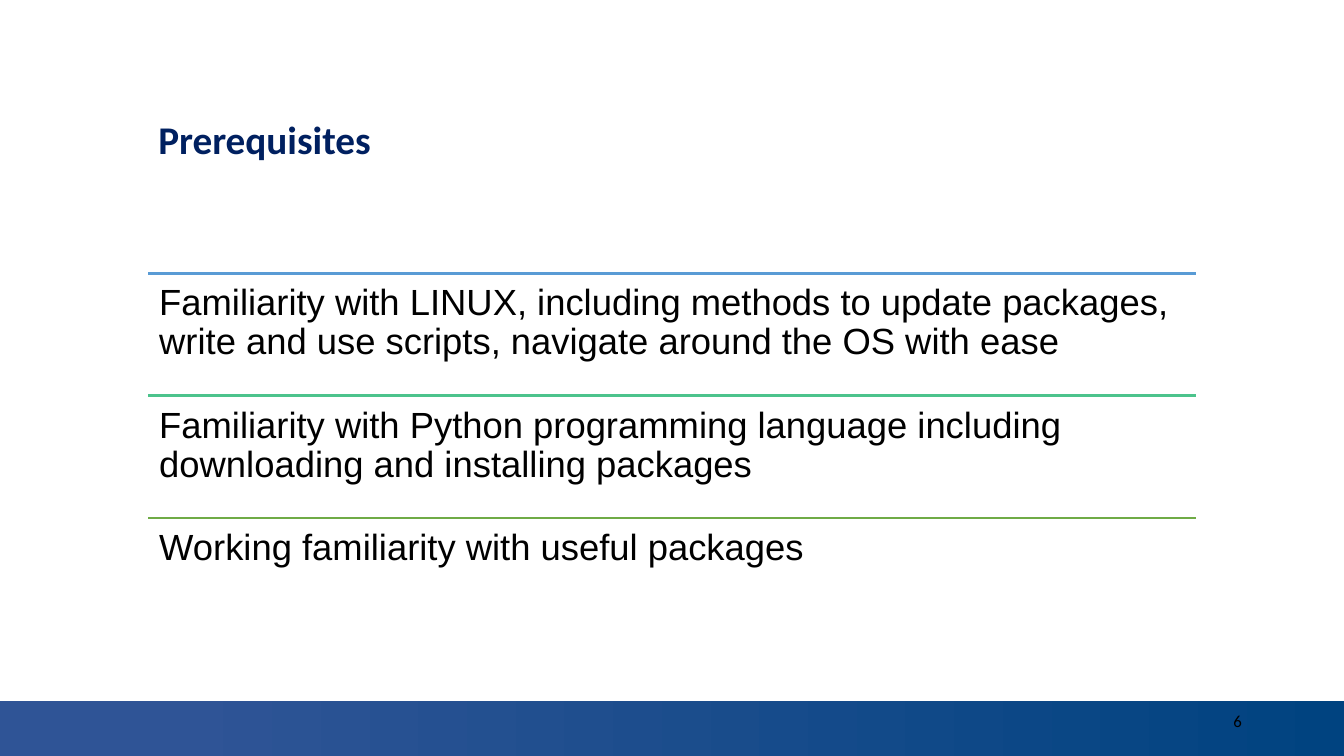
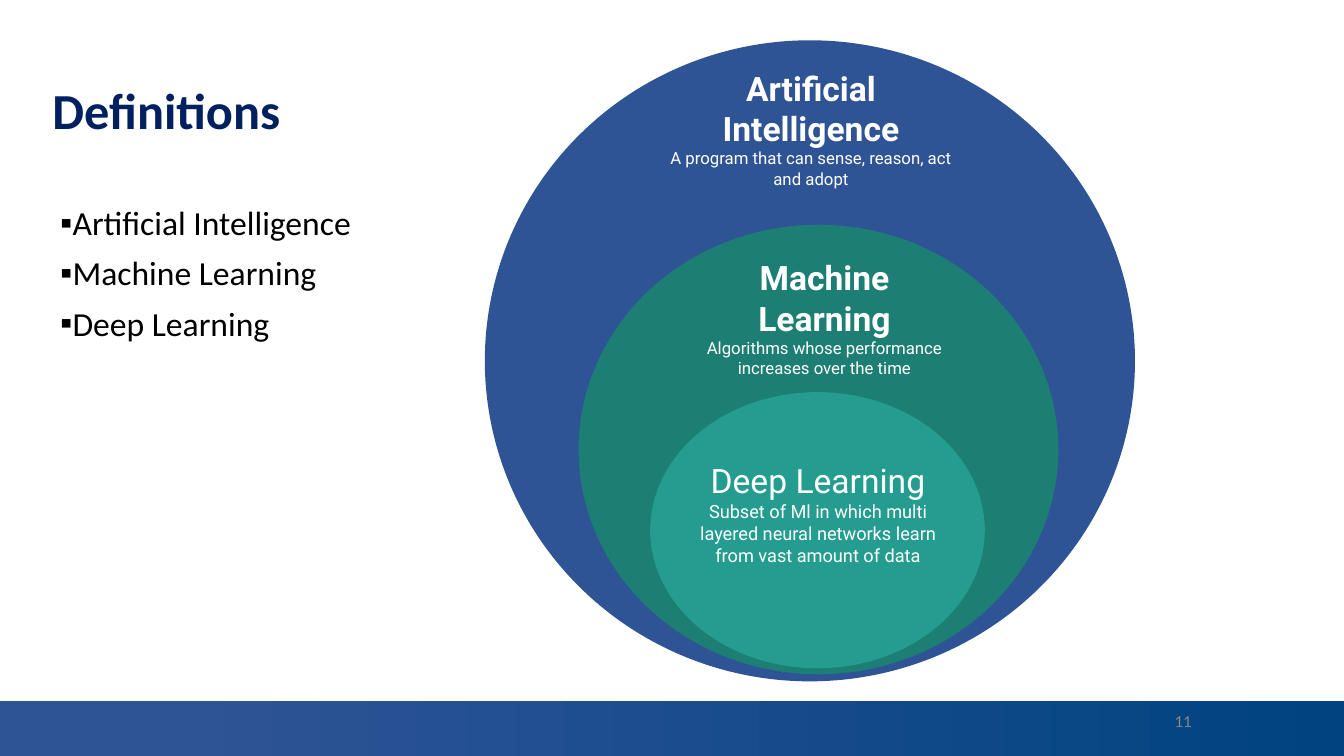
from lxml.etree import SubElement
from pptx import Presentation
from pptx.dml.color import RGBColor
from pptx.enum.shapes import MSO_CONNECTOR, MSO_SHAPE
from pptx.enum.text import MSO_ANCHOR, MSO_AUTO_SIZE, PP_ALIGN
from pptx.oxml.ns import qn
from pptx.util import Inches, Pt


def hue(code):
    return RGBColor.from_string(code)


def write(shape, box, paras, anchor=MSO_ANCHOR.MIDDLE, pads=(0.1, 0.05), **look):
    shape.left, shape.top, shape.width, shape.height = map(Inches, box)
    frame = shape.text_frame
    side, edge = map(Inches, pads)
    setup = {
        "word_wrap": True, "auto_size": MSO_AUTO_SIZE.NONE,
        "vertical_anchor": anchor, "margin_left": side,
        "margin_right": side, "margin_top": edge, "margin_bottom": edge,
    }
    for key, value in setup.items():
        setattr(frame, key, value)
    for i, (text, style) in enumerate(paras):
        para = frame.add_paragraph() if i else frame.paragraphs[0]
        for key, value in look.items():
            setattr(para, key, value)
        para.space_before = Pt(style.get("gap", 0))
        run = para.add_run()
        run.text = text
        for key in ("name", "size", "bold"):
            setattr(run.font, key, style[key])
        run.font.color.rgb = hue(style["color"])
    return frame


NAVY, BLUE, DEEP, BLACK, WHITE = "002060", "2F5496", "004380", "000000", "FFFFFF"
PLAIN = {"name": "Calibri", "size": Pt(24), "bold": False, "color": BLACK}
HEAD = PLAIN | {"bold": True, "color": NAVY}
ROW = PLAIN | {"name": "Arial", "size": Pt(26)}
LABEL = PLAIN | {"name": "Roboto", "color": WHITE}

deck = Presentation()
deck.slide_width, deck.slide_height = Inches(40 / 3), Inches(7.5)
needs = deck.slides.add_slide(deck.slide_layouts[5])
terms = deck.slides.add_slide(deck.slide_layouts[1])

band = needs.shapes.add_shape(
    MSO_SHAPE.RECTANGLE, 0, Inches(6.95), deck.slide_width, Inches(0.55))
band.shadow.inherit = False
band.line.fill.background()
band.fill.gradient()
band.fill.gradient_angle = 0
for stop, code, place in zip(band.fill.gradient_stops, (BLUE, DEEP), (0.13, 1)):
    stop.color.rgb = hue(code)
    stop.position = place
band.element.nvSpPr.cNvPr.set("id", "20")
deck.slide_master.shapes.element.insert(2, band.element)

pages = [
    (needs, "Prerequisites", 28, (1.47, 0.7, 10.4, 1.41), "6", 9.42, BLACK),
    (terms, "Definitions", 36, (0.42, 0.4, 11.5, 1.45), "11", 8.92, "888888"),
]
for slide, title, size, box, number, left, code in pages:
    write(slide.shapes.title, box, [(title, HEAD | {"size": Pt(size)})],
          alignment=PP_ALIGN.LEFT, line_spacing=0.9)
    note = slide.shapes.add_textbox(0, 0, 0, 0)
    write(note, (left, 6.95, 3, 0.4),
          [(number, PLAIN | {"size": Pt(12), "color": code})],
          alignment=PP_ALIGN.RIGHT)

veil = needs.shapes.title.fill
veil.solid()
veil.fore_color.rgb = hue(WHITE)
tint = needs.shapes.title.element.spPr.find(".//" + qn("a:srgbClr"))
SubElement(tint, qn("a:alpha")).set("val", "9000")

rows = [
    ("599BD5", "Familiarity with LINUX, including methods to update packages, "
               "write and use scripts, navigate around the OS with ease"),
    ("4CC38C", "Familiarity with Python programming language including "
               "downloading and installing packages"),
    ("6FAB46", "Working familiarity with useful packages"),
]
left, top, width, last = 1.47, 2.71, 10.4, 5.14
step = (last - top) / (len(rows) - 1)
for i, (code, text) in enumerate(rows):
    y = top + i * step
    rule = needs.shapes.add_connector(
        MSO_CONNECTOR.STRAIGHT, Inches(left), Inches(y), Inches(left + width), Inches(y))
    rule.line.color.rgb = hue(code)
    rule.line.width = Pt(2)
    SubElement(rule.element.spPr, qn("a:effectLst"))
    write(needs.shapes.add_textbox(0, 0, 0, 0), (left, y, width, step),
          [(text, ROW)], MSO_ANCHOR.TOP, (0.11, 0.11), line_spacing=0.9)

names = ["Artificial Intelligence", "Machine Learning", "Deep Learning"]
items = [(name, PLAIN | {"gap": 10 if i else 0}) for i, name in enumerate(names)]
frame = write(terms.placeholders[1], (0.42, 2, 6.45, 4.76), items,
              MSO_ANCHOR.TOP, line_spacing=0.9)
for para in frame.paragraphs:
    props = para._p.get_or_add_pPr()
    props.set("marL", str(Inches(0.2)))
    props.set("indent", str(Inches(-0.12)))
    SubElement(props, qn("a:buFont")).set("typeface", "Calibri")
    SubElement(props, qn("a:buChar")).set("char", "▪")

rings = [
    (BLUE, (4.81, 0.4, 6.45, 6.36), (6.45, 0.59, 3.19, 1.36), True, 12,
     "A program that can sense, reason, act and adopt"),
    ("1D7E74", (5.74, 2.23, 4.76, 4.46), (6.73, 2.49, 2.9, 1.32), True, 12,
     "Algorithms whose performance increases over the time"),
    ("249C90", (6.45, 3.89, 3.32, 2.74), (6.73, 4.26, 2.77, 1.66), False, 13,
     "Subset of Ml in which multi layered neural networks learn "
     "from vast amount of data"),
]
for name, (code, oval, box, bold, size, text) in zip(names, rings):
    ring = terms.shapes.add_shape(MSO_SHAPE.OVAL, *map(Inches, oval))
    ring.shadow.inherit = False
    ring.fill.solid()
    ring.fill.fore_color.rgb = hue(code)
    ring.line.fill.background()
    write(terms.shapes.add_textbox(0, 0, 0, 0), box,
          [(name, LABEL | {"bold": bold}), (text, LABEL | {"size": Pt(size)})],
          pads=(0.13, 0.13), alignment=PP_ALIGN.CENTER)

deck.save("out.pptx")
